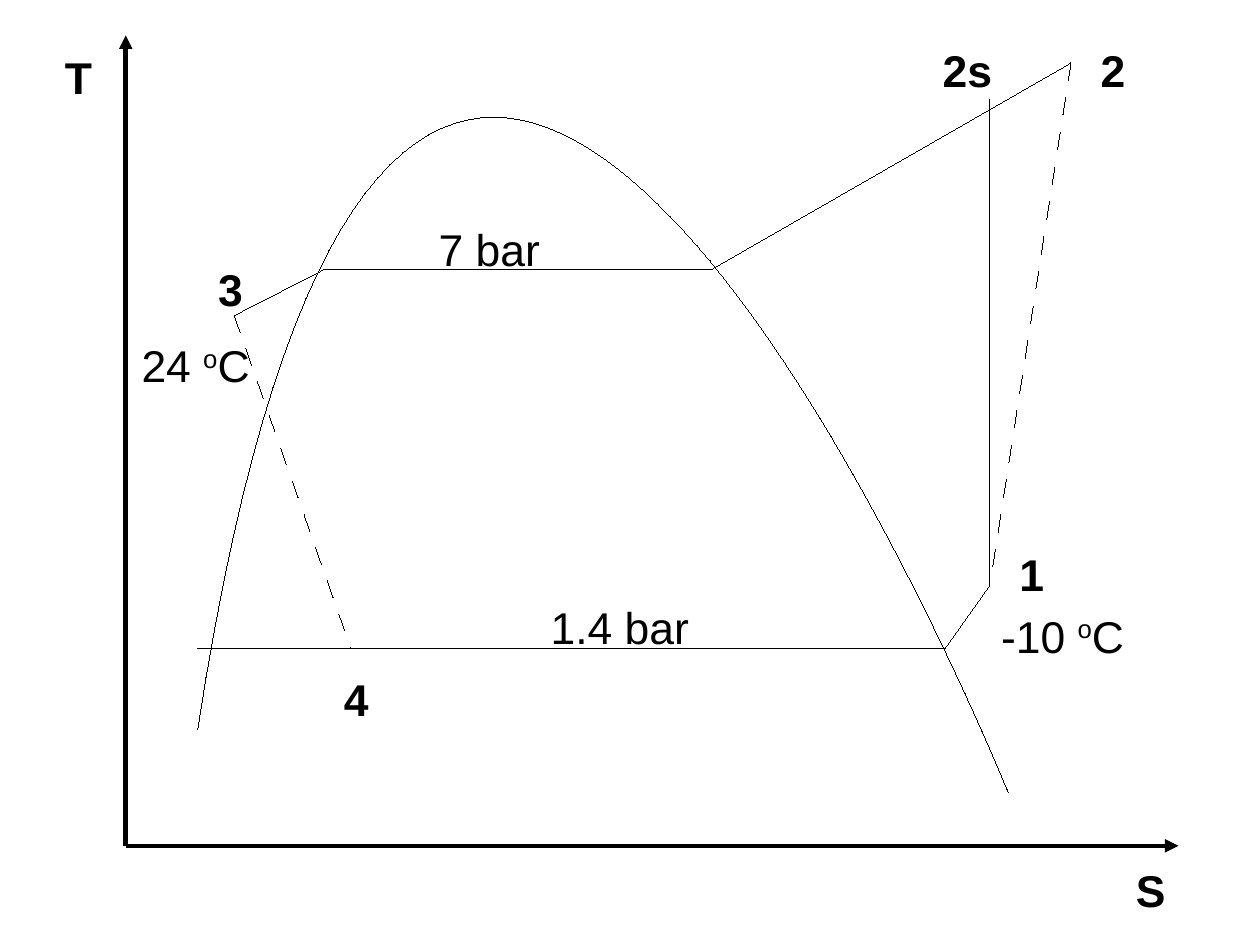
from pptx import Presentation
from pptx.dml.color import RGBColor as RGB
from pptx.enum.shapes import MSO_CONNECTOR as Link
from pptx.oxml import parse_xml as to_xml
from pptx.oxml.ns import nsdecls as ns, qn
from pptx.util import Cm, Inches, Pt

BLACK = RGB(0, 0, 0)
FONT = "Arial"
THIN, THICK = Pt(0.01), Pt(2.83)
STEPS = 80


class Sketch:
    """Style and current slide of the T-S diagram."""

    def __init__(self, slide):
        self.shapes = slide.shapes

    def pen(self, shape, width):
        shape.line.color.rgb = BLACK
        shape.line.width = width

    def line(self, start, end, width=THIN, dash=False, arrow=False):
        link = self.shapes.add_connector(
            Link.STRAIGHT, *(Inches(v) for v in start + end))
        self.pen(link, width)
        props = link._element.spPr
        props.append(to_xml(f"<a:effectLst {ns('a')}/>"))
        ln = props.find(qn("a:ln"))
        if dash:
            ln.append(to_xml(f"<a:custDash {ns('a')}>"
                             '<a:ds d="1450000" sp="1450000"/></a:custDash>'))
        if arrow:
            ln.append(to_xml(f"<a:tailEnd {ns('a')} type='triangle'/>"))

    def curve(self, *ctrl):
        """Cubic curve through four control points, drawn in short steps."""
        spots = []
        for i in range(STEPS + 1):
            t = i / STEPS
            parts = ((1 - t) ** 3, 3 * t * (1 - t) ** 2,
                     3 * t * t * (1 - t), t ** 3)
            spots.append(tuple(
                Inches(sum(k * p[axis] for k, p in zip(parts, ctrl)))
                for axis in (0, 1)))
        pen = self.shapes.build_freeform(*spots[0], scale=1.0)
        pen.add_line_segments(spots[1:], close=False)
        dome = pen.convert_to_shape()
        dome.shadow.inherit = False
        dome.fill.background()
        self.pen(dome, THIN)

    def label(self, left, top, width, *runs, height=0.53, bold=False):
        box = self.shapes.add_textbox(
            *(Inches(v) for v in (left, top, width, height)))
        box.text_frame.word_wrap = True
        para = box.text_frame.paragraphs[0]
        for text, lift in runs:
            run = para.add_run()
            run.text = text
            font = run.font
            font.name, font.size, font.bold = FONT, Pt(28), bold
            font.color.rgb = BLACK
            if lift:
                run._r.get_or_add_rPr().set("baseline", str(lift * 1000))


def main():
    deck = Presentation()
    deck.slide_width = Cm(28)
    deck.slide_height = Cm(21)
    art = Sketch(deck.slides.add_slide(deck.slide_layouts[6]))

    # Axes
    zero = (1.1, 7.4)
    for tip in ((10.31, 7.4), (1.1, 0.31)):
        art.line(zero, tip, THICK, arrow=True)

    # Saturation dome
    art.curve((1.73, 6.38), (3.62, -5.98), (8.82, 6.93), (8.82, 6.93))

    # Cycle: state points and corners on the dome
    one, two, two_s = (8.66, 5.12), (9.37, 0.55), (8.66, 0.87)
    three, four = (2.05, 2.76), (3.07, 5.67)
    liquid, vapour = (2.83, 2.36), (6.22, 2.36)
    low, dry = (1.73, 5.67), (8.27, 5.67)
    for start, end in ((low, dry), (three, liquid), (liquid, vapour),
                       (dry, one), (vapour, two), (one, two_s)):
        art.line(start, end)
    for start, end in ((three, four), (two, one)):
        art.line(start, end, dash=True)

    # Axis and state names
    for text, left, top, width, height in (
            ("T", 0.47, 0.39, 0.55, 0.55), ("S", 9.84, 7.5, 0.47, 0.61),
            ("4", 2.91, 5.83, 0.39, 0.53), ("3", 1.81, 2.24, 0.39, 0.53),
            ("2", 9.53, 0.33, 0.39, 0.53), ("2s", 8.15, 0.33, 0.67, 0.53),
            ("1", 8.82, 4.74, 0.39, 0.53)):
        art.label(left, top, width, (text, 0), height=height, bold=True)

    # Pressures
    for text, left, top in (("1.4 bar", 4.72, 5.2), ("7 bar", 3.74, 1.89)):
        art.label(left, top, 1.73, (text, 0))

    # Temperatures
    for text, left, top in (("-10 ", 8.66, 5.28), ("24 ", 1.14, 2.91)):
        art.label(left, top, 1.73, (text, 0), ("o", 33), ("C", 0), height=0.55)

    deck.save("out.pptx")


if __name__ == "__main__":
    main()
